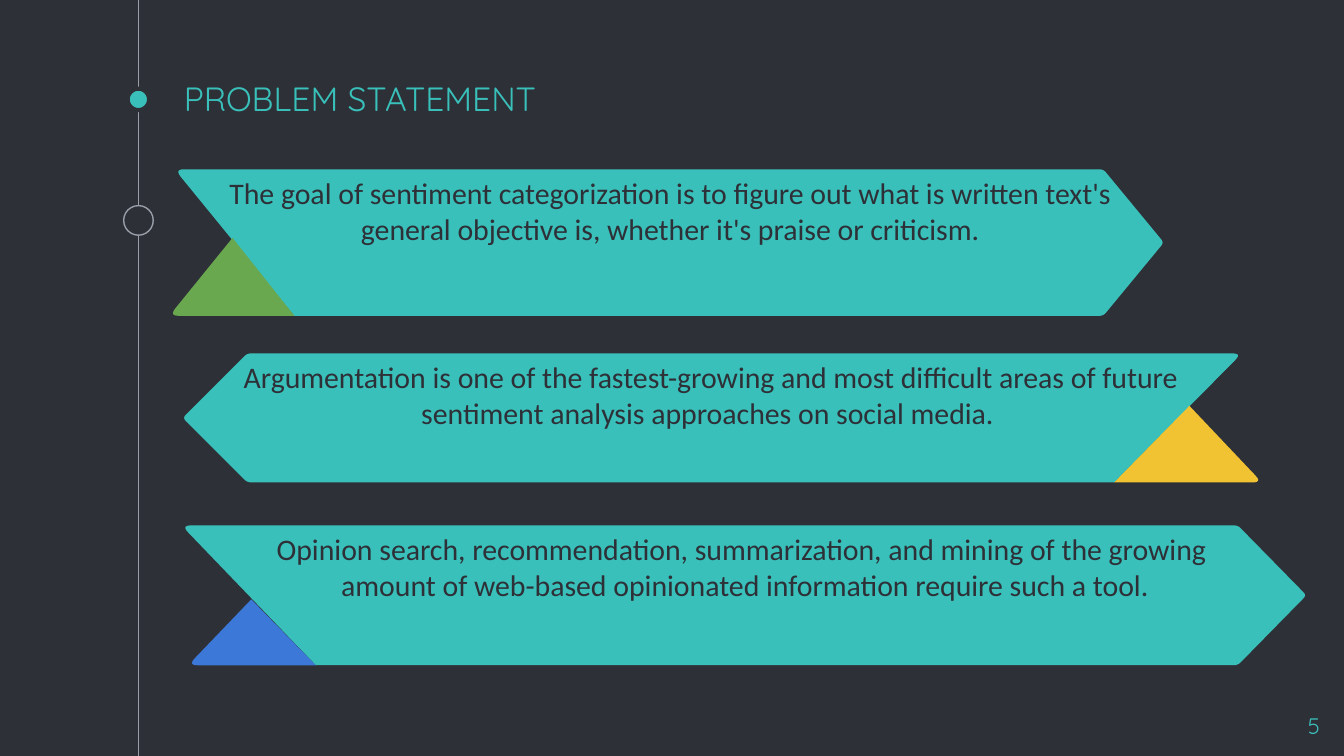
"""Build the problem statement slide with three folded ribbon banners."""
from dataclasses import dataclass
from math import dist

from lxml.etree import SubElement
from pptx import Presentation
from pptx.dml.color import RGBColor
from pptx.enum.shapes import MSO_CONNECTOR, MSO_SHAPE
from pptx.enum.text import MSO_ANCHOR, PP_ALIGN
from pptx.oxml.ns import qn
from pptx.util import Inches, Pt

DARK, TEAL, GREY = "2E3037", "39C0BA", "999FA9"
TIMELINE_X = 1.03


@dataclass(frozen=True)
class Corner:
    x: float
    y: float
    radius: float = 0


@dataclass(frozen=True)
class Banner:
    corner: float
    shoulder: float
    tip: float
    notch: float
    top: float
    bottom: float
    fold_outer: float
    fold_apex: tuple[float, float]
    fold_color: str
    lines: tuple[str, ...]


BANNERS = (
    Banner(1.3, 8.21, 8.66, 2.19, 1.26, 2.35, 1.26, (1.73, 1.77), "6AA84F",
           ("The goal of sentiment categorization is to figure out what is written "
            "text's general objective is, whether it's praise or criticism.",)),
    Banner(9.24, 1.84, 1.36, 8.29, 2.63, 3.59, 9.39, (8.85, 3.02), "F1C232",
           ("Argumentation is one of the fastest-growing and most difficult areas of "
            "future sentiment analysis approaches on social media. ",)),
    Banner(1.35, 9.21, 9.72, 2.35, 3.91, 4.95, 1.4, (1.87, 4.46), "3C78D8",
           ("Opinion search, recommendation, summarization, and mining of the growing ",
            "amount of web-based opinionated information require such a tool.")),
)


def rgb(value: str) -> RGBColor:
    return RGBColor.from_string(value)


def toward(start: Corner, end: Corner) -> tuple[float, float]:
    share = start.radius / dist((start.x, start.y), (end.x, end.y))
    return start.x + (end.x - start.x) * share, start.y + (end.y - start.y) * share


def rounded(corners: list[Corner], steps: int = 6) -> list[tuple[int, int]]:
    points = []
    for index, corner in enumerate(corners):
        if not corner.radius:
            points.append((Inches(corner.x), Inches(corner.y)))
            continue
        x1, y1 = toward(corner, corners[index - 1])
        x2, y2 = toward(corner, corners[(index + 1) % len(corners)])
        for step in range(steps + 1):
            t = step / steps
            a, b, c = (1 - t) ** 2, 2 * t * (1 - t), t ** 2
            points.append((Inches(a * x1 + b * corner.x + c * x2),
                           Inches(a * y1 + b * corner.y + c * y2)))
    return points


def add_outline(slide, corners: list[Corner], color: str):
    start, *rest = rounded(corners)
    builder = slide.shapes.build_freeform(*start)
    builder.add_line_segments(rest, close=True)
    outline = builder.convert_to_shape()
    outline.shadow.inherit = False
    outline.fill.solid()
    outline.fill.fore_color.rgb = rgb(color)
    outline.line.fill.background()
    return outline


def write(shape, lines: tuple[str, ...], font: str, size: float, color: str,
          align: PP_ALIGN, insets: tuple[float, float],
          anchor: MSO_ANCHOR = MSO_ANCHOR.TOP) -> None:
    frame = shape.text_frame
    frame.word_wrap = True
    frame.vertical_anchor = anchor
    frame.margin_left = frame.margin_right = Inches(insets[0])
    frame.margin_top = frame.margin_bottom = Inches(insets[1])
    frame.text = "\n".join(lines)
    for paragraph in frame.paragraphs:
        paragraph.alignment = align
        for run in paragraph.runs:
            run.font.name = font
            run.font.size = Pt(size)
            run.font.color.rgb = rgb(color)


def add_label(slide, text: str, box: tuple[float, float, float, float], size: float,
              align: PP_ALIGN, anchor: MSO_ANCHOR) -> None:
    label = slide.shapes.add_textbox(*map(Inches, box))
    write(label, (text,), "Quicksand", size, TEAL, align, (0.1, 0.1), anchor)


def add_marker(slide, center_y: float, size: float, fill: str, line: str,
               width: float) -> None:
    marker = slide.shapes.add_shape(
        MSO_SHAPE.OVAL, Inches(TIMELINE_X - size / 2), Inches(center_y - size / 2),
        Inches(size), Inches(size))
    marker.shadow.inherit = False
    marker.fill.solid()
    marker.fill.fore_color.rgb = rgb(fill)
    marker.line.color.rgb = rgb(line)
    marker.line.width = Pt(width)


def add_timeline(slide, height: int) -> None:
    timeline = slide.shapes.add_connector(
        MSO_CONNECTOR.STRAIGHT, Inches(TIMELINE_X), 0, Inches(TIMELINE_X), height)
    timeline.line.color.rgb = rgb(GREY)
    timeline.line.width = Pt(0.75)
    SubElement(timeline._element.spPr, qn("a:effectLst"))
    add_marker(slide, 0.74, 0.16, TEAL, DARK, 2.25)
    add_marker(slide, 1.64, 0.22, DARK, GREY, 0.75)


def add_banner(slide, banner: Banner) -> None:
    middle = (banner.top + banner.bottom) / 2
    ribbon = add_outline(slide, [
        Corner(banner.corner, banner.top, 0.07),
        Corner(banner.shoulder, banner.top, 0.03),
        Corner(banner.tip, middle, 0.03),
        Corner(banner.shoulder, banner.bottom, 0.03),
        Corner(banner.notch, banner.bottom),
    ], TEAL)
    write(ribbon, banner.lines, "Calibri", 16, DARK, PP_ALIGN.CENTER, (0.07, 0.04))
    add_outline(slide, [
        Corner(*banner.fold_apex),
        Corner(banner.fold_outer, banner.bottom, 0.07),
        Corner(banner.notch, banner.bottom),
    ], banner.fold_color)


def main() -> None:
    presentation = Presentation()
    presentation.slide_width = Inches(10)
    presentation.slide_height = Inches(10 * 9 / 16)
    slide = presentation.slides.add_slide(presentation.slide_layouts[6])
    slide.background.fill.solid()
    slide.background.fill.fore_color.rgb = rgb(DARK)
    add_timeline(slide, presentation.slide_height)
    add_label(slide, "5", (9.32, 5.2, 0.6, 0.34), 12, PP_ALIGN.RIGHT, MSO_ANCHOR.TOP)
    add_label(slide, "PROBLEM STATEMENT", (1.27, 0.6, 7.5, 0.38), 18,
              PP_ALIGN.LEFT, MSO_ANCHOR.BOTTOM)
    for banner in BANNERS:
        add_banner(slide, banner)
    presentation.save("out.pptx")


if __name__ == "__main__":
    main()
